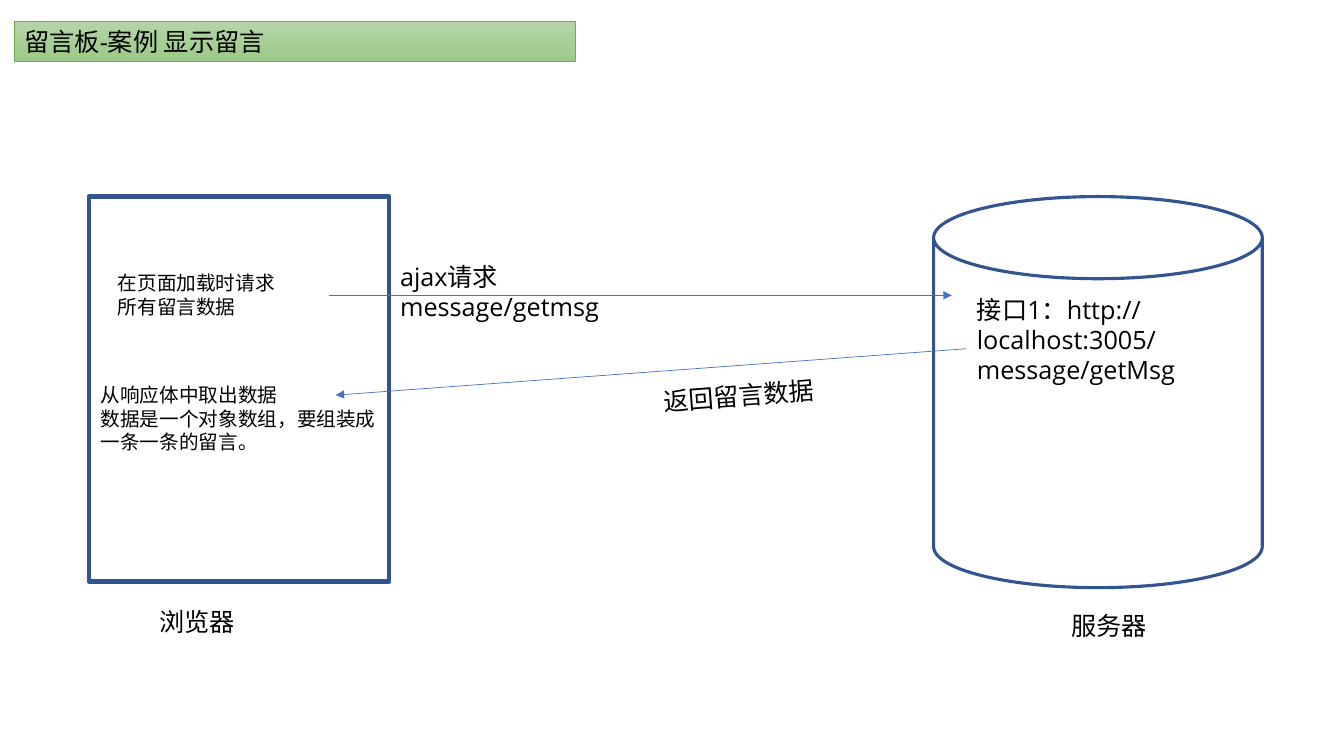
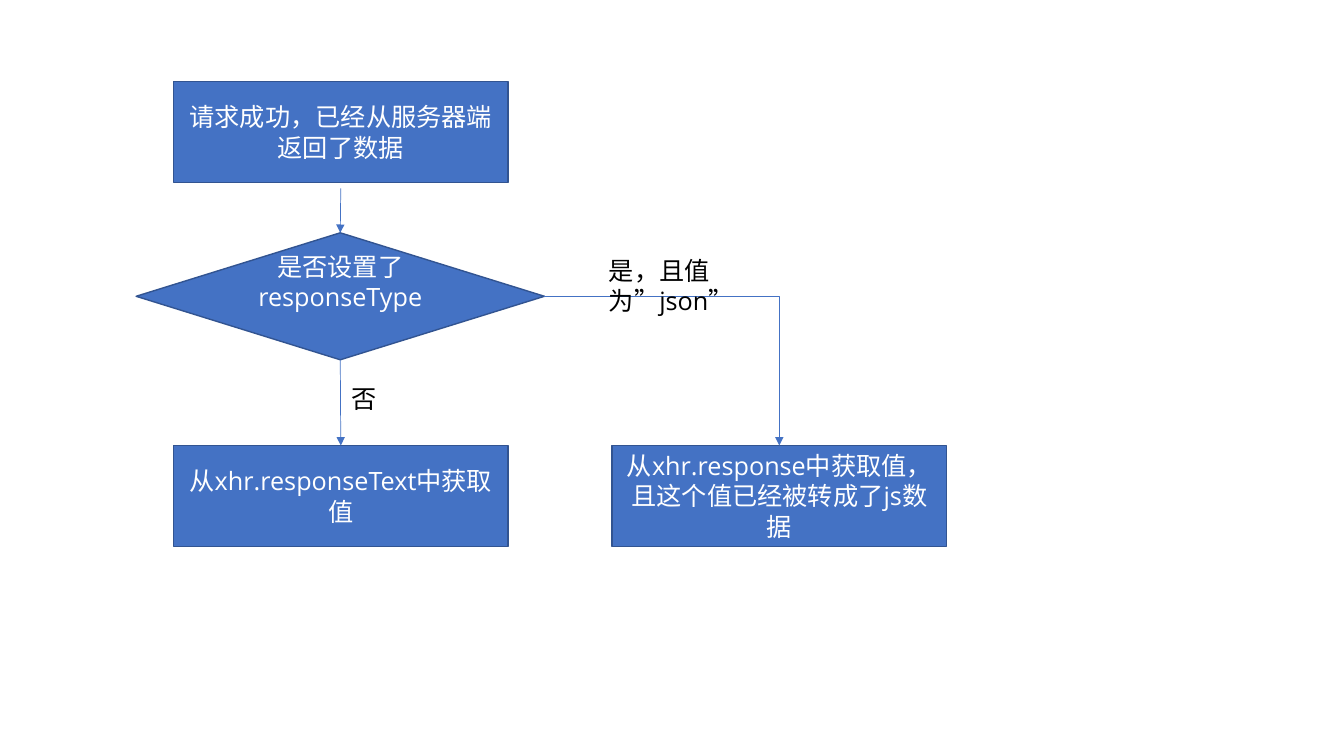
"""Build two slides on loading messages with ajax and reading the response."""
from dataclasses import dataclass
from typing import Any

from lxml.etree import SubElement
from pptx import Presentation
from pptx.dml.color import RGBColor
from pptx.enum.shapes import MSO_CONNECTOR, MSO_SHAPE
from pptx.enum.text import MSO_ANCHOR, MSO_AUTO_SIZE, PP_ALIGN
from pptx.oxml.ns import qn
from pptx.util import Inches, Pt

RECT, CAN = MSO_SHAPE.RECTANGLE, MSO_SHAPE.CAN
STEP, TEST = MSO_SHAPE.FLOWCHART_PROCESS, MSO_SHAPE.DIAMOND
LINE, BENT = MSO_CONNECTOR.STRAIGHT, MSO_CONNECTOR.ELBOW
TOP, MID = MSO_ANCHOR.TOP, MSO_ANCHOR.MIDDLE
LEFT, MIDDLE = PP_ALIGN.LEFT, PP_ALIGN.CENTER
NO_FIT = MSO_AUTO_SIZE.NONE

COLORS = {
    "white": "FFFFFF", "black": "000000", "blue": "4472C4", "navy": "325491",
    "green": "70AD47", "pale": "B5D5A7", "leaf": "9CC987",
}
LATIN, ASIAN = "Open Sans", "Noto Sans CJK SC"
FRAME = {
    "auto_size": NO_FIT,
    "margin_left": Inches(0.1), "margin_right": Inches(0.1),
    "margin_top": Inches(0.05), "margin_bottom": Inches(0.05),
}
PARA = {"line_spacing": 1.0, "space_before": Pt(0), "space_after": Pt(0)}
STEP_W, STEP_H = 3.32, 1.0


@dataclass
class Box:
    kind: Any
    left: float
    top: float
    width: float
    height: float
    fill: str = "blue"
    edge: float = 1
    text: str = ""
    foot: float = 0.05


@dataclass
class Note:
    text: str
    left: float
    top: float
    width: float
    height: float = 0.4
    size: int = 18
    wrap: bool = False
    turn: float = 0


def color(name: str) -> RGBColor:
    return RGBColor.from_string(COLORS[name])


def assign(item: Any, values: dict) -> None:
    for name, value in values.items():
        setattr(item, name, value)


def write(shape: Any, text: str, size: int = 18, ink: str = "black",
          align: Any = LEFT, anchor: Any = TOP, wrap: bool = True) -> None:
    frame = shape.text_frame
    frame.text = text
    assign(frame, FRAME | {"vertical_anchor": anchor, "word_wrap": wrap})
    for para in frame.paragraphs:
        assign(para, PARA | {"alignment": align})
        for run in para.runs:
            assign(run.font, {"size": Pt(size), "bold": False, "name": LATIN})
            run.font.color.rgb = color(ink)
            SubElement(run.font._element, qn("a:ea")).set("typeface", ASIAN)


def draw_box(slide: Any, box: Box) -> Any:
    area = map(Inches, (box.left, box.top, box.width, box.height))
    shape = slide.shapes.add_shape(box.kind, *area)
    shape.shadow.inherit = False
    shape.fill.solid()
    shape.fill.fore_color.rgb = color(box.fill)
    shape.line.color.rgb = color("navy")
    shape.line.width = Pt(box.edge)
    if box.text:
        write(shape, box.text, ink="white", align=MIDDLE, anchor=MID)
        shape.text_frame.margin_bottom = Inches(box.foot)
    return shape


def draw_note(slide: Any, note: Note) -> None:
    area = map(Inches, (note.left, note.top, note.width, note.height))
    shape = slide.shapes.add_textbox(*area)
    write(shape, note.text, note.size, wrap=note.wrap)
    shape.rotation = note.turn


def arrow(slide: Any, start: tuple[float, float], end: tuple[float, float],
          kind: Any = LINE) -> Any:
    link = slide.shapes.add_connector(kind, *map(Inches, start + end))
    link.line.color.rgb = color("blue")
    link.line.width = Pt(0.5)
    props = link._element.spPr
    SubElement(props.find(qn("a:ln")), qn("a:tailEnd")).set("type", "triangle")
    SubElement(props, qn("a:effectLst"))
    if kind == BENT:
        props.find(qn("a:prstGeom")).set("prst", "bentConnector2")
    return link


def draw_title(slide: Any, text: str) -> None:
    title = slide.shapes.title
    assign(title, {"left": Inches(0.14), "top": Inches(0.21),
                   "width": Inches(5.57), "height": Inches(0.4)})
    title.fill.gradient()
    title.fill.gradient_angle = 270
    for stop, name, place in zip(title.fill.gradient_stops, ("pale", "leaf"), (0, 1)):
        stop.color.rgb = color(name)
        stop.position = place
    title.line.color.rgb = color("green")
    title.line.width = Pt(0.5)
    write(title, text)


def draw_board(deck: Any) -> None:
    slide = deck.slides.add_slide(deck.slide_layouts[5])
    draw_title(slide, "留言板-案例 显示留言")
    for box in (
        Box(RECT, 0.88, 1.95, 2.98, 3.82, "white", 3),
        Box(CAN, 9.26, 1.95, 3.26, 3.88, "white", 2.25),
    ):
        draw_box(slide, box)
    arrow(slide, (3.26, 2.93), (9.44, 2.93))
    arrow(slide, (9.58, 3.46), (3.33, 3.92))
    for note in (
        Note("浏览器", 1.48, 5.97, 0.96),
        Note("服务器", 10.53, 6.01, 0.96),
        Note("ajax请求\nmessage/getmsg", 3.87, 2.54, 2.46, 0.71, wrap=True),
        Note("返回留言数据", 6.48, 3.72, 1.72, turn=355.5),
        Note("从响应体中取出数据\n数据是一个对象数组，要组装成\n一条一条的留言。",
             0.9, 3.75, 2.95, 0.81, 14),
        Note("接口1：http://localhost:3005/message/getMsg",
             9.59, 2.87, 3.08, 1.01, wrap=True),
        Note("在页面加载时请求\n所有留言数据", 1.07, 2.64, 1.77, 0.81, 14),
    ):
        draw_note(slide, note)


def draw_flow(deck: Any) -> None:
    slide = deck.slides.add_slide(deck.slide_layouts[6])
    test = draw_box(slide, Box(TEST, 1.35, 2.31, 4.05, 1.26,
                               text="是否设置了responseType", foot=0.35))
    _, plain, ready = [
        draw_box(slide, Box(STEP, left, top, STEP_W, STEP_H, text=text))
        for left, top, text in (
            (1.72, 0.81, "请求成功，已经从服务器端返回了数据"),
            (1.72, 4.42, "从xhr.responseText中获取值"),
            (6.07, 4.42, "从xhr.response中获取值，且这个值已经被转成了js数据"),
        )
    ]
    arrow(slide, (3.38, 1.87), (3.38, 2.31)).end_connect(test, 0)
    for start, end, kind, side, goal in (
        ((3.38, 3.57), (3.38, 4.42), LINE, 2, plain),
        ((5.4, 2.94), (7.73, 4.42), BENT, 3, ready),
    ):
        link = arrow(slide, start, end, kind)
        link.begin_connect(test, side)
        link.end_connect(goal, 0)
    draw_note(slide, Note("否", 3.39, 3.75, 0.45))
    draw_note(slide, Note("是，且值为”json”", 5.94, 2.48, 2.09, wrap=True))


def main() -> None:
    deck = Presentation()
    deck.slide_width, deck.slide_height = Inches(13.33), Inches(7.5)
    draw_board(deck)
    draw_flow(deck)
    deck.save("out.pptx")


if __name__ == "__main__":
    main()
